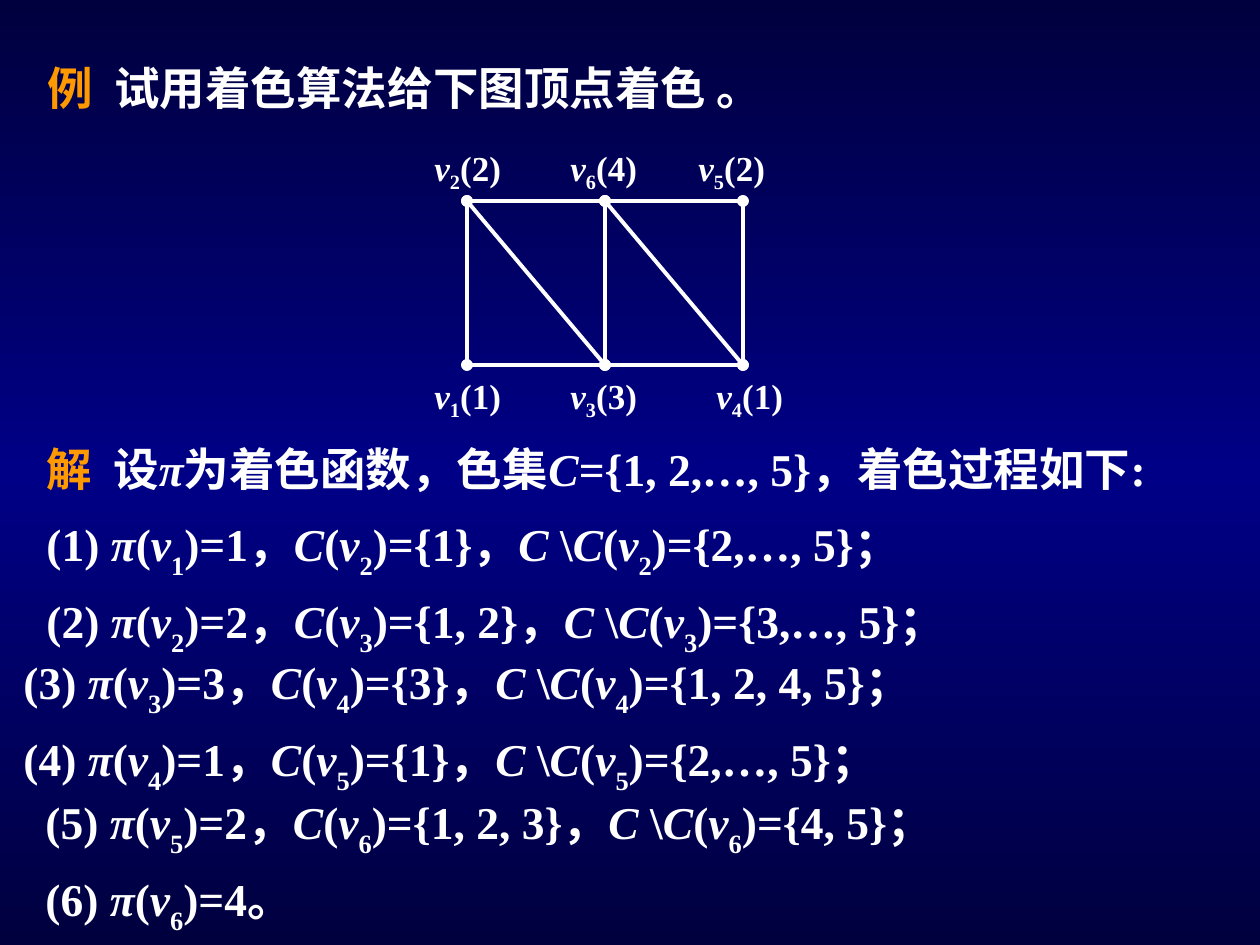
import copy
import itertools

import lxml.etree
import pptx
import pptx.dml.color
import pptx.enum.shapes
import pptx.enum.text
import pptx.oxml.ns
import pptx.util

PX = 914400 // 126
FONT = "Times New Roman"
WHITE, ORANGE = "FFFFFF", "FF9900"
GRADIENT = [(0, "00003E"), (0.5, "000086"), (1, "00003E")]
HEADING_TAB = [67]

# left, top, width, height, tab stops, paragraphs
TEXTS = [
    (34, 497, 1142, 168, [], ["(1) π(v1)=1，C(v2)={1}，C \\C(v2)={2,…, 5}；",
                              "(2) π(v2)=2，C(v3)={1, 2}，C \\C(v3)={3,…, 5}；"]),
    (34, 424, 1181, 78, HEADING_TAB, ["解\t设π为着色函数，色集C={1, 2,…, 5}，着色过程如下:"]),
    (35, 43, 833, 78, HEADING_TAB, ["例\t试用着色算法给下图顶点着色 。"]),
    (11, 635, 1020, 168, [], ["(3) π(v3)=3，C(v4)={3}，C \\C(v4)={1, 2, 4, 5}；",
                              "(4) π(v4)=1，C(v5)={1}，C \\C(v5)={2,…, 5}；"]),
    (33, 775, 1082, 168, [], ["(5) π(v5)=2，C(v6)={1, 2, 3}，C \\C(v6)={4, 5}；",
                              "(6) π(v6)=4。"]),
]
VERTEX_LABELS = [
    (422, 140, 387, 60, [136, 264], ["v2(2)\tv6(4)\tv5(2)"]),
    (422, 368, 387, 60, [136, 282], ["v1(1)\tv3(3)\tv4(1)"]),
]
VERTICES = {"v1": (467, 365), "v3": (605, 365), "v4": (743, 365),
            "v2": (467, 201), "v6": (605, 201), "v5": (743, 201)}
EDGES = [("v2", "v1"), ("v2", "v6"), ("v6", "v5"), ("v1", "v3"), ("v3", "v4"),
         ("v6", "v3"), ("v5", "v4"), ("v2", "v3"), ("v6", "v4")]


def px(*values):
    return [pptx.util.Emu(value * PX) for value in values]


def color(value):
    return pptx.dml.color.RGBColor.from_string(value)


def add_element(parent, tag, **attributes):
    return lxml.etree.SubElement(parent, pptx.oxml.ns.qn(tag), attributes)


def split_styles(text):
    """Yield (style, piece): symbols are italic, a digit after v is a subscript."""
    def style(pair):
        before, character = pair
        if character in "πvC":
            return "symbol"
        if character in "例解":
            return "keyword"
        return "subscript" if before == "v" and character.isdigit() else "plain"

    for name, pairs in itertools.groupby(zip(" " + text, text), style):
        yield name, "".join(character for _, character in pairs)


def add_text(shapes, box, size, line_spacing, subscript):
    *place, tabs, lines = box
    frame = shapes.add_textbox(*px(*place)).text_frame
    frame.word_wrap = True
    frame.auto_size = pptx.enum.text.MSO_AUTO_SIZE.SHAPE_TO_FIT_TEXT
    for index, line in enumerate(lines):
        paragraph = frame.add_paragraph() if index else frame.paragraphs[0]
        if tabs:
            tab_list = add_element(paragraph._p.get_or_add_pPr(), "a:tabLst")
            for tab in px(*tabs):
                add_element(tab_list, "a:tab", pos=str(tab), algn="l")
        paragraph.line_spacing = line_spacing
        for style, piece in split_styles(line):
            run = paragraph.add_run()
            run.text = piece
            run.font.name = FONT
            run.font.size = pptx.util.Pt(size)
            run.font.bold = True
            run.font.italic = style == "symbol"
            run.font.color.rgb = color(ORANGE if style == "keyword" else WHITE)
            if style == "subscript":
                run.font._element.set("baseline", str(subscript * 1000))


def add_edge(shapes, start, end):
    edge = shapes.add_connector(pptx.enum.shapes.MSO_CONNECTOR.STRAIGHT,
                                *px(*VERTICES[start], *VERTICES[end]))
    edge.line.color.rgb = color(WHITE)
    edge.line.width = pptx.util.Pt(2.25)
    line = edge.line._get_or_add_ln()
    add_element(line, "a:headEnd", type="oval")
    add_element(line, "a:tailEnd", type="oval")
    add_element(edge._element.spPr, "a:effectLst")


def set_background(slide):
    fill = slide.background.fill
    fill.gradient()
    fill.gradient_angle = 90
    stop_list = slide.element.xpath(".//a:gsLst")[0]
    stop_list.insert(1, copy.deepcopy(stop_list[0]))
    for stop, (position, value) in zip(fill.gradient_stops, GRADIENT):
        stop.position = position
        stop.color.rgb = color(value)


def main():
    presentation = pptx.Presentation()
    presentation.slide_width, presentation.slide_height = px(1260, 945)
    slide = presentation.slides.add_slide(presentation.slide_layouts[6])
    set_background(slide)
    for box in TEXTS:
        add_text(slide.shapes, box, size=26, line_spacing=1.2, subscript=-30)
    graph = slide.shapes.add_group_shape()
    for start, end in EDGES:
        add_edge(graph.shapes, start, end)
    for box in VERTEX_LABELS:
        add_text(graph.shapes, box, size=20, line_spacing=1.0, subscript=-25)
    presentation.save("out.pptx")


if __name__ == "__main__":
    main()
